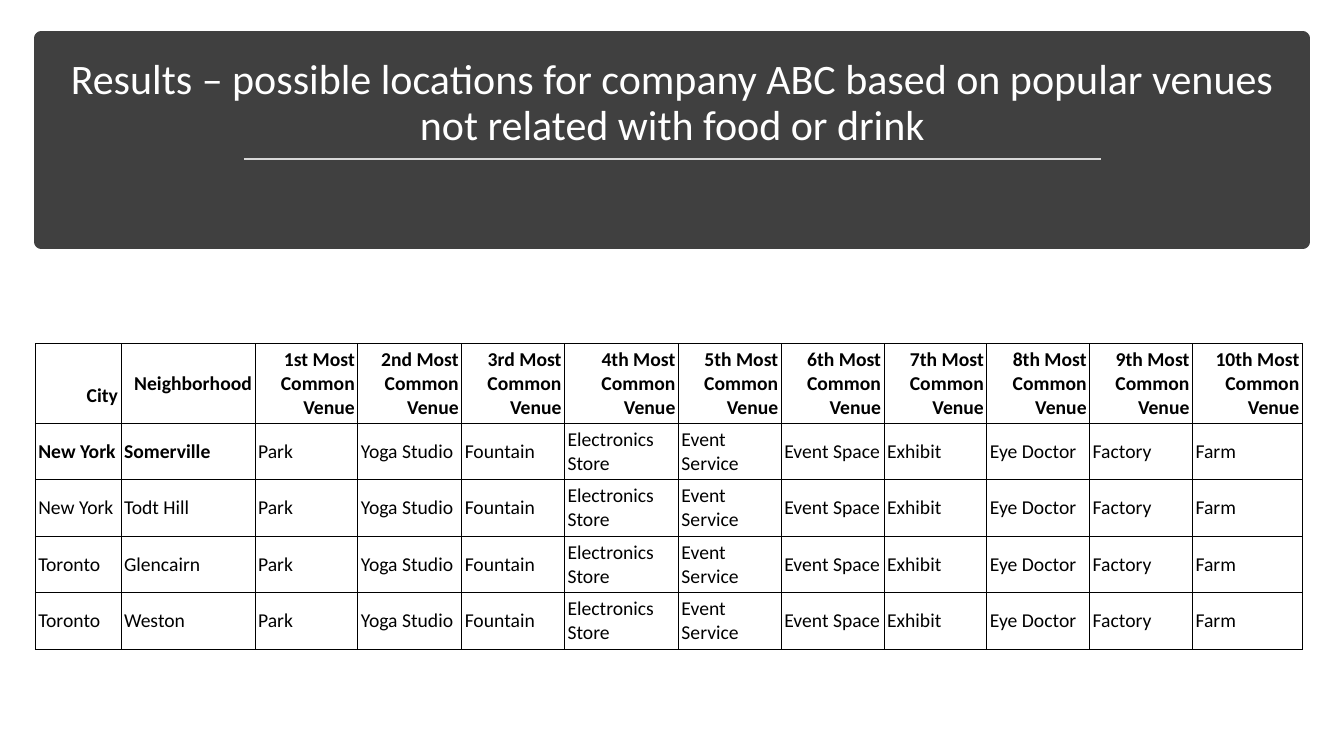
import pptx
import pptx.util
import pptx.dml.color
import pptx.enum.shapes
import pptx.enum.text
import pptx.oxml
import pptx.oxml.ns
from pptx.util import Inches

FONT = "Calibri"
DARK = pptx.dml.color.RGBColor(0x40, 0x40, 0x40)
RULE = pptx.dml.color.RGBColor(0xD9, 0xD9, 0xD9)
WHITE = pptx.dml.color.RGBColor(0xFF, 0xFF, 0xFF)
BLACK = pptx.dml.color.RGBColor(0x00, 0x00, 0x00)

TITLE = ("Results – possible locations for company ABC based on popular "
         "venues not related with food or drink")
ORDINALS = ["1st", "2nd", "3rd"] + [f"{rank}th" for rank in range(4, 11)]
HEADERS = ["City", "Neighborhood"] + [f"{ordinal} Most Common Venue" for ordinal in ORDINALS]
PLACES = [("New York", "Somerville"), ("New York", "Todt Hill"),
          ("Toronto", "Glencairn"), ("Toronto", "Weston")]
VENUES = ["Park", "Yoga Studio", "Fountain", "Electronics Store", "Event Service",
          "Event Space", "Exhibit", "Eye Doctor", "Factory", "Farm"]
COLUMN_WIDTHS = [0.85, 1.33, 1.02, 1.03, 1.02, 1.13] + [1.02] * 5 + [1.09]
ROW_HEIGHTS = [0.79] + [0.56] * len(PLACES)
CELL_MARGIN = Inches(0.03)
CITY_DROP = Inches(0.27)


def style_text(paragraph, size, color, bold=False):
    paragraph.font.name = FONT
    paragraph.font.size = pptx.util.Pt(size)
    paragraph.font.bold = bold
    paragraph.font.color.rgb = color


def add_band(slide):
    band = slide.shapes.add_shape(pptx.enum.shapes.MSO_SHAPE.RECTANGLE,
                                  Inches(0.41), Inches(0.38), Inches(12.51), Inches(2.02))
    band.shadow.inherit = False
    band.fill.solid()
    band.fill.fore_color.rgb = DARK
    band.line.color.rgb = DARK
    band.line.width = pptx.util.Pt(10)
    slide.shapes.title.element.addprevious(band.element)


def set_title(slide):
    title = slide.shapes.title
    title.left, title.top = Inches(0.58), Inches(0.51)
    title.width, title.height = Inches(12.18), Inches(1.02)
    frame = title.text_frame
    frame.text = TITLE
    frame.word_wrap = True
    frame.auto_size = pptx.enum.text.MSO_AUTO_SIZE.NONE
    frame.vertical_anchor = pptx.enum.text.MSO_ANCHOR.BOTTOM
    heading = frame.paragraphs[0]
    heading.alignment = pptx.enum.text.PP_ALIGN.CENTER
    heading.line_spacing = 0.9
    style_text(heading, 30, WHITE)


def add_rule(slide):
    rule = slide.shapes.add_connector(pptx.enum.shapes.MSO_CONNECTOR.STRAIGHT,
                                      Inches(2.42), Inches(1.58), Inches(10.92), Inches(1.58))
    rule.line.color.rgb = RULE
    rule.line.width = pptx.util.Pt(1.75)
    rule.element.spPr.append(pptx.oxml.parse_xml(
        f'<a:effectLst {pptx.oxml.ns.nsdecls("a")}/>'))


def set_borders(cell):
    properties = cell._tc.get_or_add_tcPr()
    for position, side in enumerate("LRTB"):
        properties.insert(position, pptx.oxml.parse_xml(
            f'<a:ln{side} {pptx.oxml.ns.nsdecls("a")} w="{pptx.util.Pt(0.75)}">'
            f'<a:solidFill><a:srgbClr val="{BLACK}"/></a:solidFill></a:ln{side}>'))


def fill_cell(cell, text, bold, alignment):
    cell.text = text
    cell.vertical_anchor = pptx.enum.text.MSO_ANCHOR.MIDDLE
    cell.margin_left = cell.margin_right = CELL_MARGIN
    cell.margin_top = cell.margin_bottom = CELL_MARGIN
    cell.fill.solid()
    cell.fill.fore_color.rgb = WHITE
    set_borders(cell)
    entry = cell.text_frame.paragraphs[0]
    entry.alignment = alignment
    style_text(entry, 14, BLACK, bold)


def add_venue_table(slide):
    rows = [HEADERS] + [[*place, *VENUES] for place in PLACES]
    venues = slide.shapes.add_table(len(rows), len(HEADERS), Inches(0.35), Inches(3.41),
                                    Inches(sum(COLUMN_WIDTHS)), Inches(sum(ROW_HEIGHTS))).table
    venues.first_row = False
    venues.horz_banding = False
    for column, width in zip(venues.columns, COLUMN_WIDTHS):
        column.width = Inches(width)
    for row, height in zip(venues.rows, ROW_HEIGHTS):
        row.height = Inches(height)
    align = pptx.enum.text.PP_ALIGN
    for r, texts in enumerate(rows):
        for c, text in enumerate(texts):
            bold = r == 0 or (r == 1 and c < 2)
            fill_cell(venues.cell(r, c), text, bold, align.RIGHT if r == 0 else align.LEFT)
    venues.cell(0, 0).margin_top = CITY_DROP


def main():
    deck = pptx.Presentation()
    deck.slide_width, deck.slide_height = Inches(13.33), Inches(7.5)
    slide = deck.slides.add_slide(deck.slide_layouts[5])
    add_band(slide)
    set_title(slide)
    add_rule(slide)
    add_venue_table(slide)
    deck.save("out.pptx")


if __name__ == "__main__":
    main()
